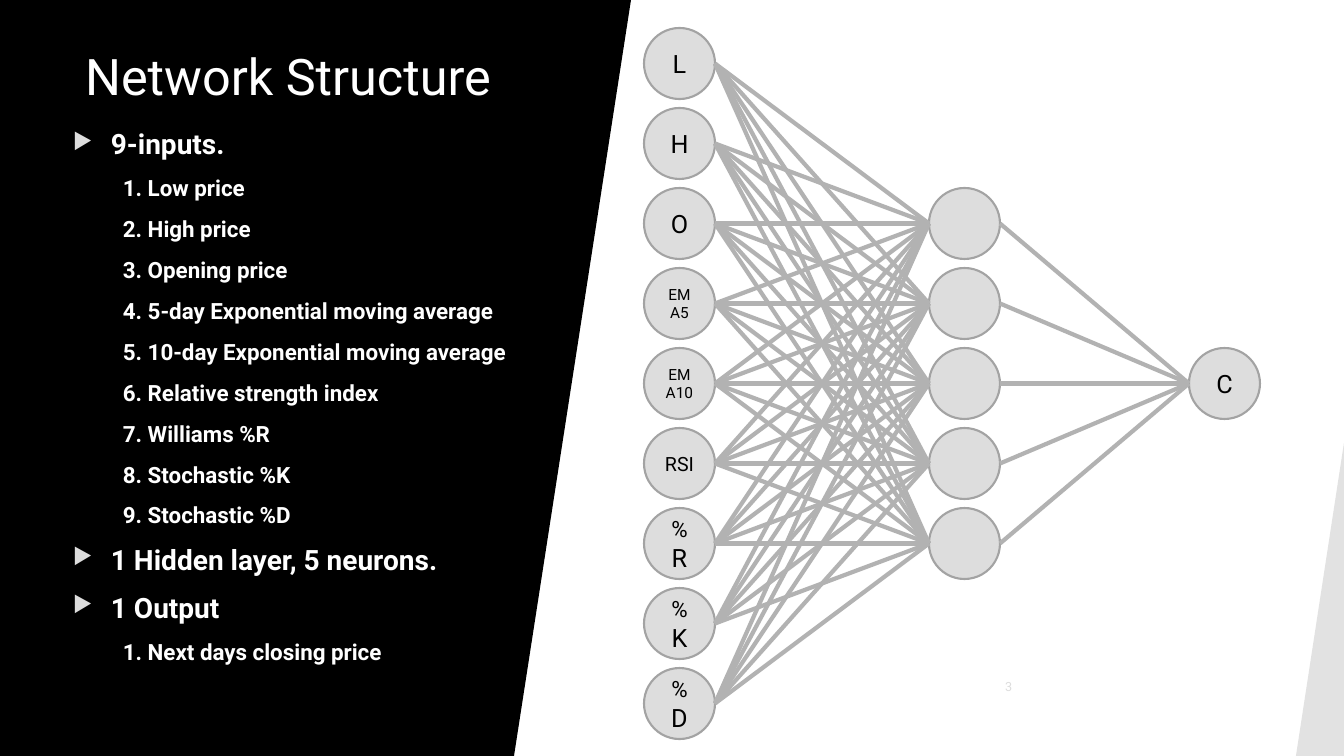
from lxml import etree
from pptx import Presentation
from pptx import util as u
from pptx.dml.color import RGBColor
from pptx.enum import shapes, text
from pptx.oxml.ns import qn

PX = 914400 / 100.8
FONT = "Roboto"


def px(*lengths):
    return [u.Emu(round(n * PX)) for n in lengths]


def style(item, colour, size=None, bold=False):
    """Colour a fill or, given a size, the font of a run."""
    if size is None:
        item.solid()
        item.fore_color.rgb = RGBColor.from_string(colour)
    else:
        item.font.name, item.font.size, item.font.bold = FONT, u.Pt(size), bold
        item.font.color.rgb = RGBColor.from_string(colour)


prs = Presentation()
prs.slide_width, prs.slide_height = px(1344, 756)
s = prs.slides.add_slide(prs.slide_layouts[5])

# Black panel with its slanted edge, and the grey corner
for kind, box, colour, rotation in [
    (shapes.MSO_SHAPE.RECTANGLE, (0, 0, 514, 756), "000000", 0),
    (shapes.MSO_SHAPE.ISOSCELES_TRIANGLE, (514, 0, 117, 756), "000000", 180),
    (shapes.MSO_SHAPE.ISOSCELES_TRIANGLE, (1296, 443, 48, 313), "DDDDDD", 0),
]:
    sp = s.shapes.add_shape(kind, *px(*box))
    sp.shadow.inherit = False
    sp.rotation = rotation
    style(sp.fill, colour)
    sp.line.fill.background()
    if kind == shapes.MSO_SHAPE.ISOSCELES_TRIANGLE:
        sp.adjustments[0] = 1
corner_colour = sp.element.spPr.find(".//" + qn("a:srgbClr"))
etree.SubElement(corner_colour, qn("a:alpha"), val="85000")

# Title, brought in front of the panel
title = s.shapes.title
title.left, title.top, title.width, title.height = px(75, 28, 556, 94)
s.shapes.element.append(title.element)
tf = title.text_frame
tf.text = "Network Structure"
tf.vertical_anchor = text.MSO_ANCHOR.MIDDLE
tf.paragraphs[0].alignment = text.PP_ALIGN.LEFT
style(tf.paragraphs[0].runs[0], "FFFFFF", 36)

# Outline: level 0 has a bullet, level 1 a typed number
outline = [
    (0, "9-inputs."),
    (1, "1. Low price"),
    (1, "2. High price"),
    (1, "3. Opening price"),
    (1, "4. 5-day Exponential moving average"),
    (1, "5. 10-day Exponential moving average"),
    (1, "6. Relative strength index"),
    (1, "7. Williams %R"),
    (1, "8. Stochastic %K"),
    (1, "9. Stochastic %D"),
    (0, "1 Hidden layer, 5 neurons."),
    (0, "1 Output"),
    (1, "1. Next days closing price"),
]
tf = s.shapes.add_textbox(*px(63, 122, 499, 615)).text_frame
tf.word_wrap = True
for i, (level, line) in enumerate(outline):
    p = tf.add_paragraph() if i else tf.paragraphs[0]
    p.text, p.level, p.space_before = line, level, u.Pt(10)
    style(p.runs[0], "FFFFFF", 16 if level else 20, True)
    pPr = p._p.get_or_add_pPr()
    margin, indent = px(50, 0) if level else px(38, -38)
    pPr.set("marL", str(margin))
    pPr.set("indent", str(indent))
    if level == 0:
        colour = etree.SubElement(pPr, qn("a:buClr"))
        etree.SubElement(colour, qn("a:srgbClr"), val="DDDDDD")
        etree.SubElement(pPr, qn("a:buSzPct"), val="80000")
        etree.SubElement(pPr, qn("a:buChar"), char="▶")

# Network layers: left edge, first row, and the (text, size) runs of each node
NODE, TOP, PITCH = 71, 28, 80
layers = [
    (644, 0, [
        [("L", 18)], [("H", 18)], [("O", 18)],
        [("EMA5", 11)], [("EMA10", 11)], [("RSI", 14)],
        [("%", 16), ("R", 18)], [("%", 16), ("K", 18)], [("%", 16), ("D", 18)],
    ]),
    (929, 2, [[]] * 5),
    (1189, 4, [[("C", 18)]]),
]
columns = []
for left, first_row, labels in layers:
    column = []
    for row, label in enumerate(labels, first_row):
        sp = s.shapes.add_shape(
            shapes.MSO_SHAPE.OVAL, *px(left, TOP + PITCH * row, NODE, NODE))
        sp.shadow.inherit = False
        style(sp.fill, "DDDDDD")
        style(sp.line.fill, "A3A3A3")
        sp.line.width = u.Pt(1.5)
        p = sp.text_frame.paragraphs[0]
        p.alignment = text.PP_ALIGN.CENTER
        for part, size in label:
            r = p.add_run()
            r.text = part
            style(r, "000000", size)
        column.append(sp)
    columns.append(column)

# Every node is joined to every node of the next layer (sites: 6 right, 2 left)
for sources, targets in zip(columns, columns[1:]):
    for target in targets:
        for source in sources:
            link = s.shapes.add_connector(shapes.MSO_CONNECTOR.STRAIGHT, 0, 0, 0, 0)
            link.begin_x = source.left + source.width
            link.begin_y = source.top + source.height // 2
            link.end_x = target.left
            link.end_y = target.top + target.height // 2
            style(link.line.fill, "B2B2B2")
            link.line.width = u.Pt(3)
            etree.SubElement(link.element.spPr, qn("a:effectLst"))

# Slide number
tf = s.shapes.add_textbox(*px(962, 672, 60, 30)).text_frame
tf.word_wrap = True
tf.vertical_anchor = text.MSO_ANCHOR.MIDDLE
tf.text = "3"
tf.paragraphs[0].alignment = text.PP_ALIGN.RIGHT
style(tf.paragraphs[0].runs[0], "DDDDDD", 9)

prs.save("out.pptx")
